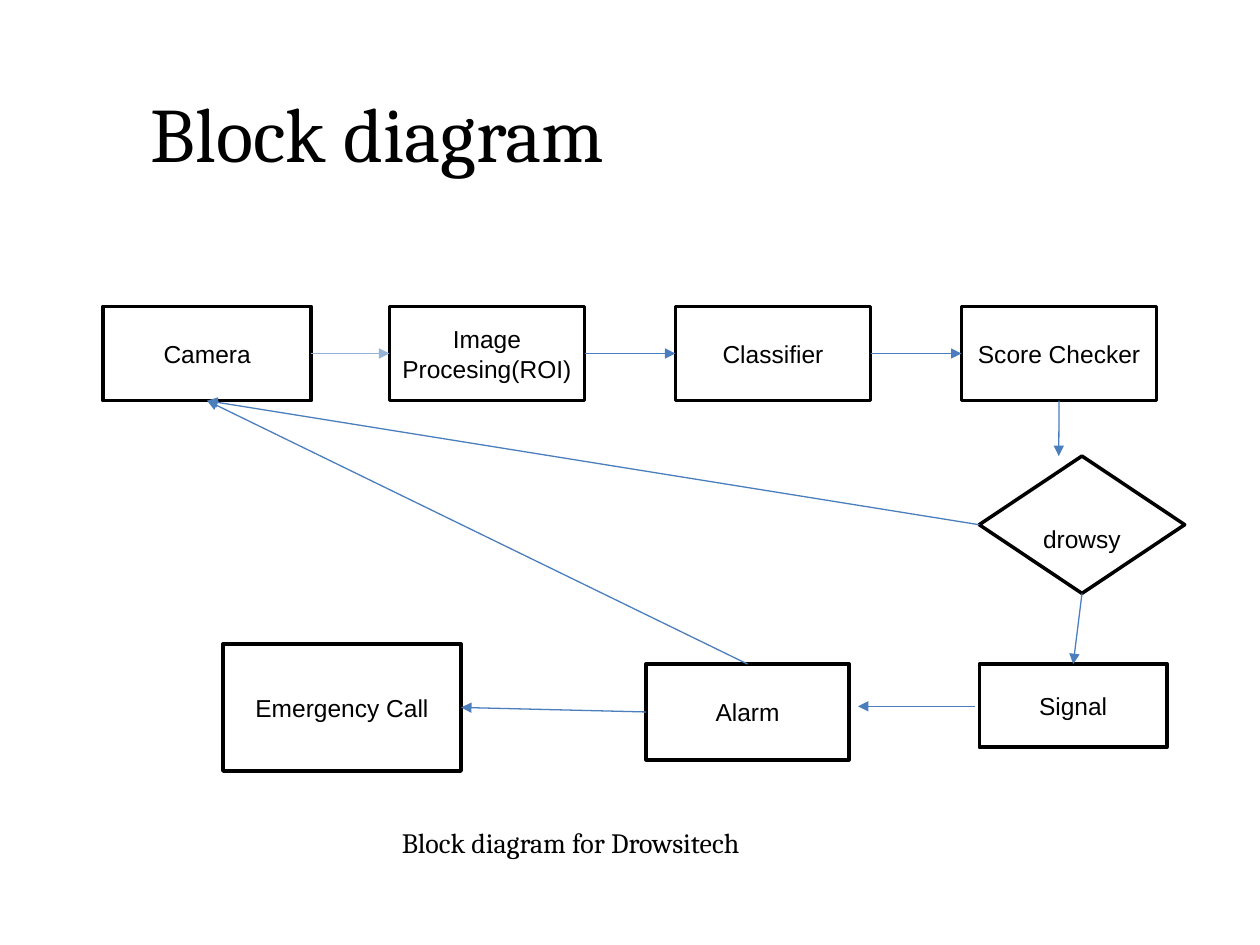
from lxml import etree
from pptx import Presentation, util as u
from pptx.dml.color import RGBColor
from pptx.enum import shapes, text
from pptx.oxml.ns import qn

Pt = u.Pt
BLACK = RGBColor(0, 0, 0)
WHITE = RGBColor(255, 255, 255)
BLUE = RGBColor(0x4B, 0x7E, 0xBC)
PALE = RGBColor(0x95, 0xB3, 0xD7)
RECT = shapes.MSO_SHAPE.RECTANGLE
TOP, LEFT, BOTTOM, RIGHT = range(4)


def label(slide, words, size, x, y, w, h):
    """Add a line of serif text in the given box."""
    frame = slide.shapes.add_textbox(Pt(x), Pt(y), Pt(w), Pt(h)).text_frame
    frame.word_wrap = True
    para = frame.paragraphs[0]
    para.text = words
    para.font.name, para.font.size = "Cambria", Pt(size)
    para.font.color.rgb = BLACK


def block(slide, words, x, y, w, h, kind=RECT):
    """Add an outlined block with centred text."""
    shape = slide.shapes.add_shape(kind, Pt(x), Pt(y), Pt(w), Pt(h))
    shape.shadow.inherit = False
    shape.fill.solid()
    shape.fill.fore_color.rgb = WHITE
    shape.line.color.rgb = BLACK
    shape.line.width = Pt(2)
    frame = shape.text_frame
    frame.word_wrap = True
    frame.margin_left = frame.margin_right = Pt(5)
    frame.vertical_anchor = text.MSO_ANCHOR.MIDDLE
    para = frame.paragraphs[0]
    para.text = words
    para.alignment = text.PP_ALIGN.CENTER
    para.font.name, para.font.size = "Arial", Pt(14)
    para.font.color.rgb = BLACK
    return shape


def arrow(slide, start, end, color=BLUE):
    """Add an arrow whose ends are points or pairs of block and side."""
    line = slide.shapes.add_connector(shapes.MSO_CONNECTOR.STRAIGHT, 0, 0, 0, 0)
    if hasattr(start[0], "shape_id"):
        line.begin_connect(*start)
    else:
        line.begin_x, line.begin_y = map(Pt, start)
    if hasattr(end[0], "shape_id"):
        line.end_connect(*end)
    else:
        line.end_x, line.end_y = map(Pt, end)
    line.line.color.rgb = color
    line.line.width = Pt(0.75)
    etree.SubElement(line.line._get_or_add_ln(), qn("a:tailEnd"), type="triangle")
    etree.SubElement(line._element.spPr, qn("a:effectLst"))


def chain(slide, x, y, w, h):
    """Add the top row of blocks, joined left to right."""
    names = ["Camera", "Image Procesing(ROI)", "Classifier", "Score Checker"]
    wide = 111.6
    step = (w - wide) / 3
    row = [block(slide, name, x + i * step, y, wide if i else 118.8, h)
           for i, name in enumerate(names)]
    for i, (a, b) in enumerate(zip(row, row[1:])):
        arrow(slide, (a, RIGHT), (b, LEFT), BLUE if i else PALE)
    return row[0], row[-1]


def flow(slide, x, y, w, h):
    """Add the whole block diagram in the given box."""
    camera, score = chain(slide, x, y, w - 16, 54)
    test = block(slide, "drowsy", x + w - 117.4, y + 85.6, 117.4, 78.5,
                 shapes.MSO_SHAPE.DIAMOND)
    test.text_frame.word_wrap = False
    test.text_frame.margin_top = Pt(20)
    signal = block(slide, "Signal", x + w - 117.4, y + 204.5, 107.3, 47.5)
    alarm = block(slide, "Alarm", x + 310.2, y + 204.5, 116, 54.7)
    call = block(slide, "Emergency Call", x + 68.4, y + h - 72.7, 136.1, 72.7)
    arrow(slide, (score, BOTTOM), (x + 546, y + 85.6))
    arrow(slide, (test, LEFT), (camera, BOTTOM))
    arrow(slide, (test, BOTTOM), (signal, TOP))
    arrow(slide, (x + 498.2, y + 228.6), (x + 431.3, y + 228.6))
    arrow(slide, (alarm, TOP), (camera, BOTTOM))
    arrow(slide, (alarm, LEFT), (call, RIGHT))


def main():
    """Build and save the slide."""
    deck = Presentation()
    deck.slide_width, deck.slide_height = Pt(720), Pt(540)
    slide = deck.slides.add_slide(deck.slide_layouts[6])
    label(slide, "Block diagram", 44, 79.2, 45.4, 544.3, 60.5)
    label(slide, "Block diagram for Drowsitech", 16, 222.5, 468, 262.8, 26.6)
    flow(slide, 59, 175, 618, 265.6)
    deck.save("out.pptx")


if __name__ == "__main__":
    main()
